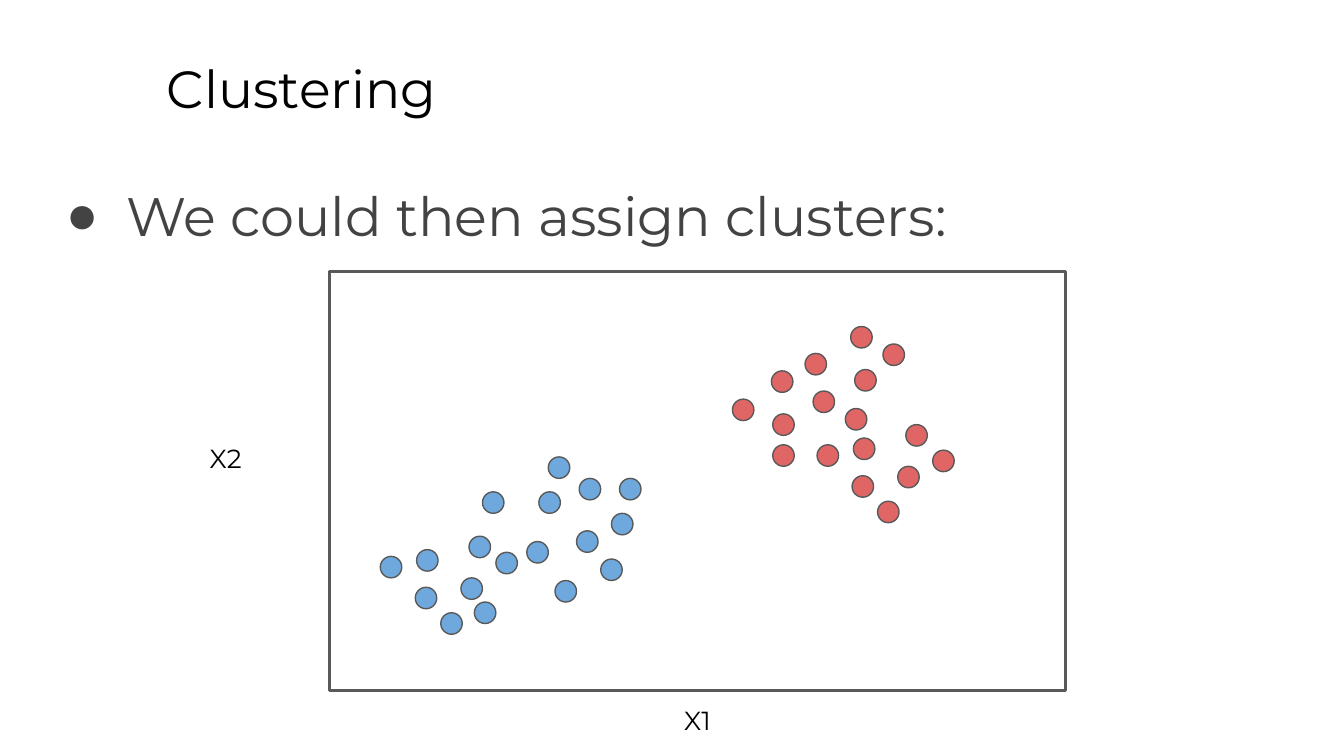
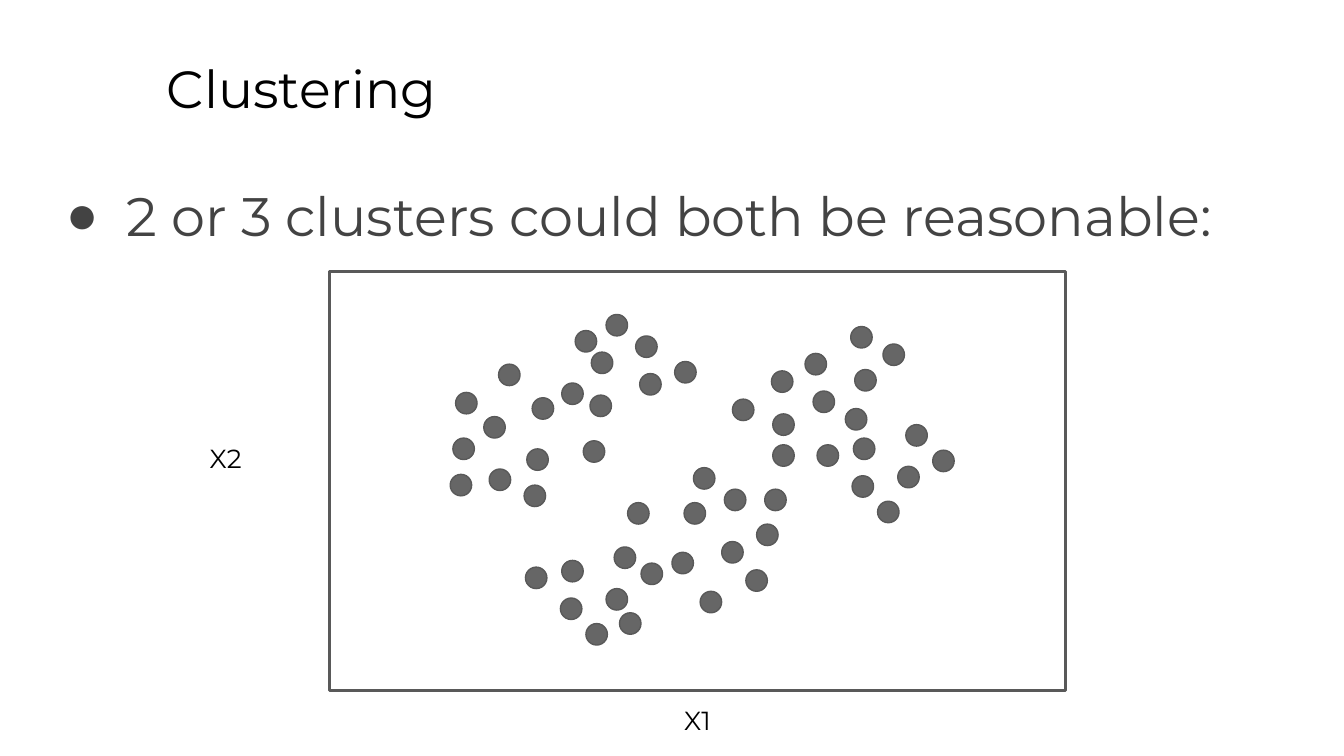
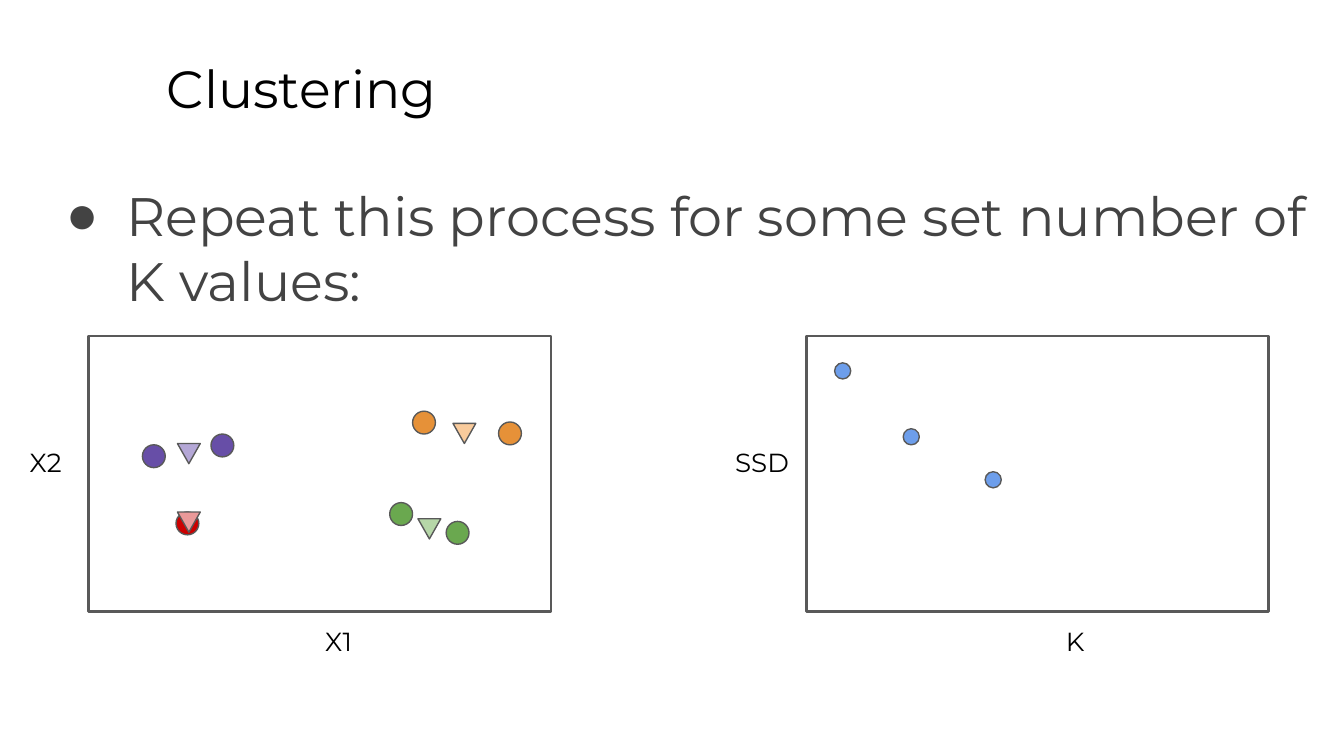
from pptx import Presentation
from pptx.dml.color import RGBColor
from pptx.enum.shapes import MSO_SHAPE as Shape
from pptx.enum.text import MSO_ANCHOR as Anchor, MSO_AUTO_SIZE as AutoSize, PP_ALIGN as Align
from pptx.oxml.ns import qn
from pptx.util import Emu, Pt
from lxml.etree import SubElement

PX = 9144
FONT = "Montserrat"
BLACK, BODY_GREY, OUTLINE, DOT_GREY = "000000", "434343", "595959", "666666"
BLUE, RED, SCORE_BLUE = "6FA8DC", "E06666", "6D9EEB"

WIDE_FRAME = (245, 202, 548, 312)
POINTS_FRAME = (66, 250, 344, 205)
SCORE_FRAME = (600, 250, 344, 205)
WIDE_LABEL, SMALL_LABEL = (146, 25), (128, 22)
DOT, LARGE_DOT, SMALL_DOT, CENTROID = (16, 16), (17, 17), (12, 12), (17, 15)

LOWER_CLUSTER = [
    (108, 246), (147, 201), (156, 164), (168, 230), (114, 164), (124, 209),
    (184, 193), (216, 154), (210, 180), (202, 214), (186, 154), (163, 138),
    (104, 197), (65, 207), (83, 254), (64, 235), (38, 212), (98, 228),
]
RIGHT_CLUSTER = [
    (300, 95), (330, 129), (330, 106), (388, 41), (354, 61), (384, 102),
    (360, 89), (329, 74), (391, 73), (412, 54), (429, 114), (390, 124),
    (408, 171), (389, 152), (363, 129), (423, 145), (449, 133),
]
UPPER_CLUSTER = [
    (183, 44), (151, 94), (147, 132), (126, 69), (189, 126), (173, 83),
    (115, 108), (90, 151), (92, 124), (94, 90), (119, 147), (145, 159),
    (194, 92), (231, 76), (206, 32), (228, 48), (257, 67), (195, 60),
]
SHIFTED_CLUSTER = [(x + 108, y + 8) for x, y in LOWER_CLUSTER]
COLOURED_GROUPS = [
    ("674EA7", [(40, 81), (91, 73)], "B4A7D6", (66, 80)),
    ("CC0000", [(65, 131)], "EA9999", (66, 131)),
    ("E69138", [(241, 56), (305, 64)], "F9CB9C", (271, 65)),
    ("6AA84F", [(266, 138), (224, 124)], "B6D7A8", (245, 136)),
]
SCORES = [(21, 20), (72, 69), (133, 101)]


def px(*lengths):
    return [Emu(length * PX) for length in lengths]


def colour(hex_string):
    return RGBColor.from_string(hex_string)


def write(shape, text, size, text_colour, align=Align.LEFT):
    frame = shape.text_frame
    frame.text = text
    frame.word_wrap = True
    frame.auto_size = AutoSize.NONE
    frame.vertical_anchor = Anchor.TOP
    frame.margin_left, frame.margin_top, frame.margin_right, frame.margin_bottom = px(10, 10, 10, 10)
    paragraph = frame.paragraphs[0]
    paragraph.alignment = align
    paragraph.space_before = Pt(0)
    font = paragraph.runs[0].font
    font.name, font.size = FONT, Pt(size)
    font.color.rgb = colour(text_colour)
    return paragraph


def place(shape, box):
    shape.left, shape.top, shape.width, shape.height = px(*box)


def add_bullet(paragraph, bullet_colour):
    properties = paragraph._p.get_or_add_pPr()
    left, indent = px(50, -45)
    properties.set("marL", str(left))
    properties.set("indent", str(indent))
    fill = SubElement(properties, qn("a:buClr"))
    SubElement(fill, qn("a:srgbClr"), val=bullet_colour)
    SubElement(properties, qn("a:buChar"), char="●")


def add_clustering_slide(presentation, statement, body_height):
    slide = presentation.slides.add_slide(presentation.slide_layouts[1])
    title, body = slide.shapes.title, slide.placeholders[1]
    place(title, (114, 32, 852, 63))
    write(title, "Clustering", 28, BLACK)
    place(body, (34, 126, 950, body_height))
    add_bullet(write(body, statement, 29, BODY_GREY), BODY_GREY)
    return slide


def add_outlined(slide, kind, box, fill=None, line_width=0.75):
    shape = slide.shapes.add_shape(kind, *px(*box))
    shape.shadow.inherit = False
    if fill:
        shape.fill.solid()
        shape.fill.fore_color.rgb = colour(fill)
    else:
        shape.fill.background()
    shape.line.color.rgb = colour(OUTLINE)
    shape.line.width = Pt(line_width)
    return shape


def add_plot(slide, frame, label_size, labels):
    add_outlined(slide, Shape.RECTANGLE, frame, line_width=1.5)
    left, top = frame[:2]
    for text, x, y in labels:
        label = slide.shapes.add_textbox(*px(left + x, top + y, *label_size))
        write(label, text, 14, BLACK, Align.CENTER)


def add_markers(slide, frame, points, size, fill, kind=Shape.OVAL, rotation=0):
    left, top = frame[:2]
    for x, y in points:
        marker = add_outlined(slide, kind, (left + x, top + y, *size), fill)
        marker.rotation = rotation


def add_wide_plot(slide, clusters):
    add_plot(slide, WIDE_FRAME, WIDE_LABEL, [("X1", 201, 312), ("X2", -150, 117)])
    for points, fill in clusters:
        add_markers(slide, WIDE_FRAME, points, DOT, fill)


def add_grouped_plot(slide, frame):
    add_plot(slide, frame, SMALL_LABEL, [("X1", 122, 205), ("X2", -96, 72)])
    for fill, points, centroid_fill, centroid in COLOURED_GROUPS:
        add_markers(slide, frame, points, LARGE_DOT, fill)
        add_markers(slide, frame, [centroid], CENTROID, centroid_fill, Shape.ISOSCELES_TRIANGLE, 180)


def add_score_plot(slide, frame):
    add_plot(slide, frame, SMALL_LABEL, [("K", 136, 205), ("SSD", -97, 72)])
    add_markers(slide, frame, SCORES, SMALL_DOT, SCORE_BLUE)


def main():
    presentation = Presentation()
    presentation.slide_width = Emu(1000 * PX)
    presentation.slide_height = Emu(presentation.slide_width * 9 // 16)

    assigned = add_clustering_slide(presentation, "We could then assign clusters:", 89)
    add_wide_plot(assigned, [(LOWER_CLUSTER, BLUE), (RIGHT_CLUSTER, RED)])

    ambiguous = add_clustering_slide(presentation, "2 or 3 clusters could both be reasonable:", 94)
    add_wide_plot(ambiguous, [(points, DOT_GREY) for points in (SHIFTED_CLUSTER, RIGHT_CLUSTER, UPPER_CLUSTER)])

    repeated = add_clustering_slide(presentation, "Repeat this process for some set number of K values:", 126)
    add_grouped_plot(repeated, POINTS_FRAME)
    add_score_plot(repeated, SCORE_FRAME)

    presentation.save("out.pptx")


if __name__ == "__main__":
    main()
